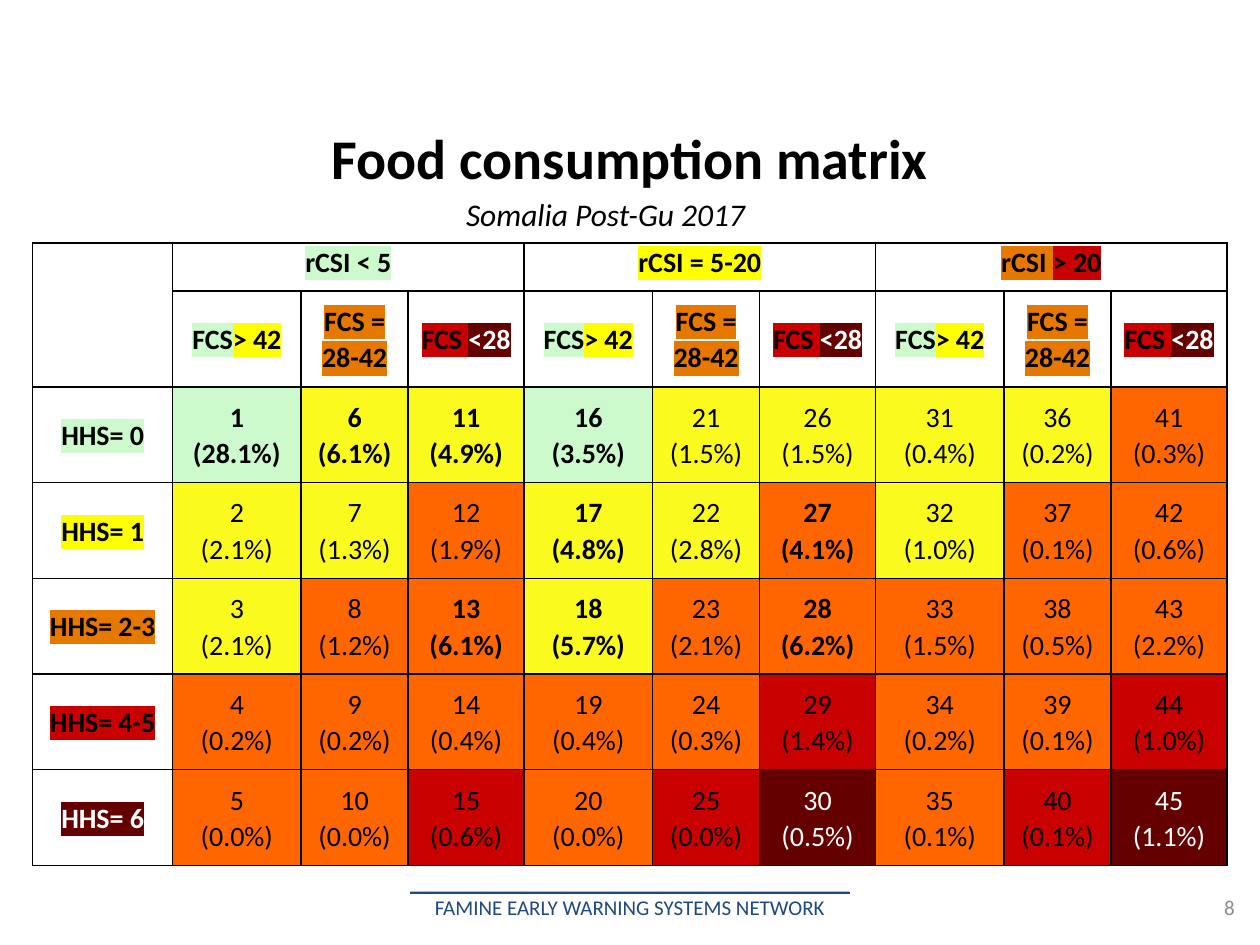
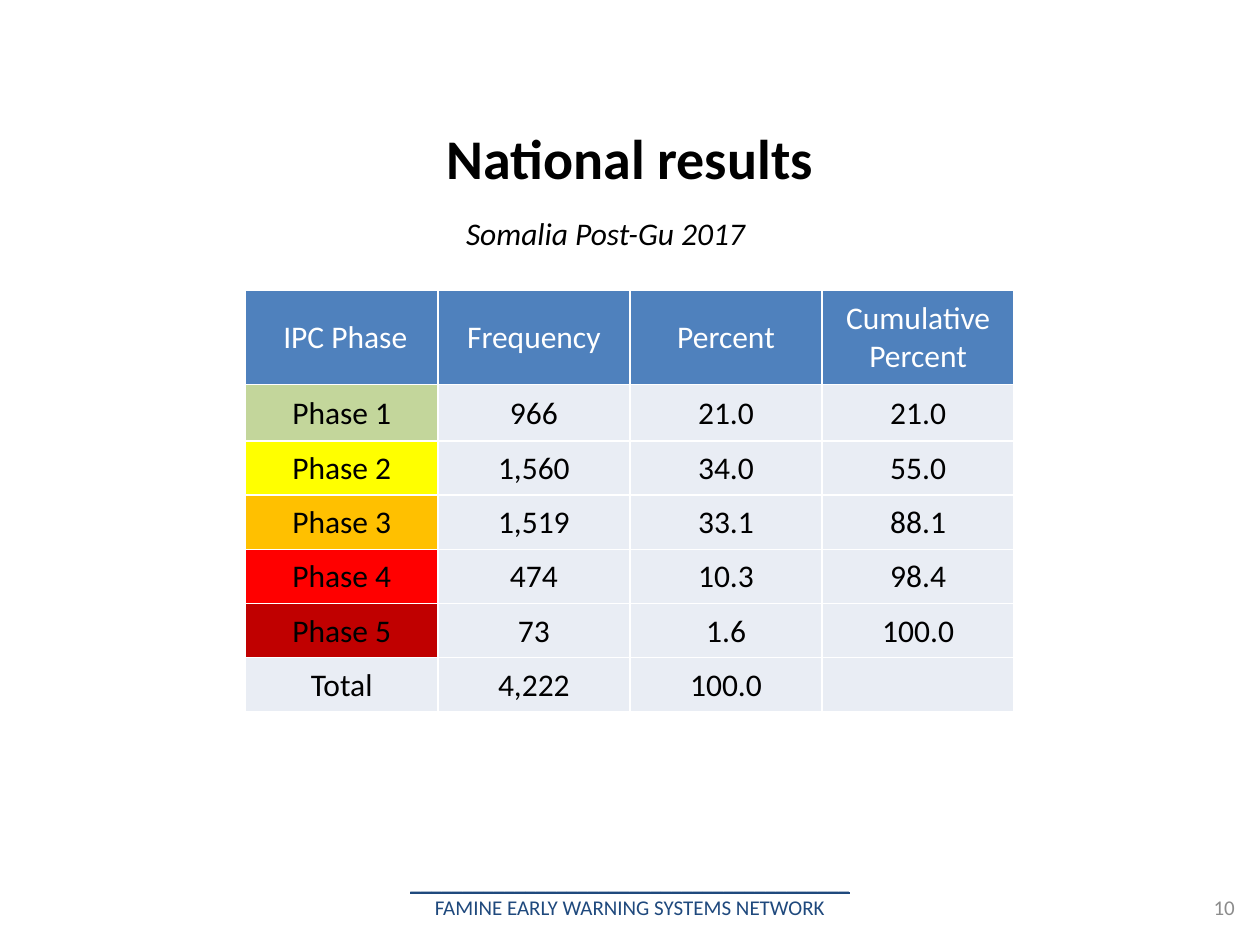
from lxml.etree import SubElement
from pptx import Presentation
from pptx.dml.color import RGBColor as RGB
from pptx.enum.text import MSO_ANCHOR as ANCHOR, PP_ALIGN as ALIGN
from pptx.oxml.ns import qn
from pptx.util import Inches, Pt

FONT = "Calibri"
C = {
    "black": "000000", "white": "FFFFFF", "navy": "1F497D", "grey": "8C8C8C",
    "header": "4F81BD", "body": "E9EDF4",
    "green": "CDFACD", "yellow": "FFFF00", "amber": "E67800", "red": "C80000",
    "maroon": "640000", "lemon": "FAFA1E", "orange": "FF6600",
    "phase1": "C3D69B", "phase2": "FFFF00", "phase3": "FFC000",
    "phase4": "FF0000", "phase5": "C00000",
}
MATRIX_FILLS = dict(zip("12345", ["green", "lemon", "orange", "red", "maroon"]))
RCSI_HEADS = [
    [("rCSI < 5", "green")],
    [("rCSI = 5-20", "yellow")],
    [("rCSI ", "amber"), ("> 20", "red")],
]
FCS_HEADS = [
    [("FCS", "green"), ("> 42", "yellow")],
    [("FCS = 28-42", "amber")],
    [("FCS ", "red"), ("<28", "maroon")],
]
HHS_ROWS = [
    ("HHS= 0", "green", "122122223", [28.1, 6.1, 4.9, 3.5, 1.5, 1.5, 0.4, 0.2, 0.3]),
    ("HHS= 1", "yellow", "223223233", [2.1, 1.3, 1.9, 4.8, 2.8, 4.1, 1.0, 0.1, 0.6]),
    ("HHS= 2-3", "amber", "233233333", [2.1, 1.2, 6.1, 5.7, 2.1, 6.2, 1.5, 0.5, 2.2]),
    ("HHS= 4-5", "red", "333334334", [0.2, 0.2, 0.4, 0.4, 0.3, 1.4, 0.2, 0.1, 1.0]),
    ("HHS= 6", "maroon", "334345345", [0.0, 0.0, 0.6, 0.0, 0.0, 0.5, 0.1, 0.1, 1.1]),
]
BOLD_FROM = 3
RESULTS = [
    (" IPC Phase", "Frequency", "Percent", "Cumulative Percent"),
    ("Phase 1", "966", "21.0", "21.0"),
    ("Phase 2", "1,560", "34.0", "55.0"),
    ("Phase 3", "1,519", "33.1", "88.1"),
    ("Phase 4", "474", "10.3", "98.4"),
    ("Phase 5", "73", "1.6", "100.0"),
    ("Total", "4,222", "100.0", ""),
]


def rgb(name):
    """Return the palette colour with this name."""
    return RGB.from_string(C[name])


def write(p, text, size=18, color="black", bold=False, italic=False, underline=False,
          highlight=None, align=ALIGN.CENTER, spacing=None):
    """Add one formatted run to a paragraph."""
    p.alignment = align
    if spacing:
        p.line_spacing = spacing
    r = p.add_run()
    r.text = text
    f = r.font
    f.name, f.size, f.bold, f.italic, f.underline = FONT, Pt(size), bold, italic, underline
    f.color.rgb = rgb(color)
    if highlight:
        r_pr = r._r.get_or_add_rPr()
        mark = SubElement(r_pr, qn("a:highlight"))
        SubElement(mark, qn("a:srgbClr"), val=C[highlight])
        r_pr.find(qn("a:solidFill")).addnext(mark)


def add_label(s, box, text, inset=0.0, wrap=True, **fmt):
    """Place a text box with one line of text and return its frame."""
    tf = s.shapes.add_textbox(*map(Inches, box)).text_frame
    tf.word_wrap = wrap
    tf.vertical_anchor = ANCHOR.MIDDLE
    tf.margin_left = tf.margin_right = Inches(inset)
    tf.margin_top = tf.margin_bottom = Inches(inset / 2)
    write(tf.paragraphs[0], text, **fmt)
    return tf


def add_footer(s, box, number):
    """Write the ruled network name and the slide number."""
    x, y, w, h = box
    name_w, number_w = 4, 2
    fmt = dict(size=12, color="navy")
    tf = add_label(s, (x + (w - name_w) / 2, y, name_w, h), "_" * 42,
                   wrap=False, underline=True, **fmt)
    write(tf.add_paragraph(), "FAMINE EARLY WARNING SYSTEMS NETWORK", **fmt)
    add_label(s, (x + w - number_w, y + h / 2, number_w, h / 2), number,
              size=12, color="grey", align=ALIGN.RIGHT)


def add_frame(prs, title, subtitle_top, number):
    """Add a slide with title, subtitle and footer."""
    s = prs.slides.add_slide(prs.slide_layouts[6])
    add_label(s, (0.1, 0.85, 9.8, 0.8), title, inset=0.1, size=32, bold=True)
    add_label(s, (3.58, subtitle_top, 2.51, 0.4), "Somalia Post-Gu 2017 ",
              inset=0.1, wrap=False, italic=True)
    add_footer(s, (0.2, 6.9, 9.6, 0.4), number)
    return s


def add_grid(s, left, top, widths, heights):
    """Add a table with the given column widths and row heights."""
    box = map(Inches, (left, top, sum(widths), sum(heights)))
    table = s.shapes.add_table(len(heights), len(widths), *box).table
    for column, width in zip(table.columns, widths):
        column.width = Inches(width)
    for row, height in zip(table.rows, heights):
        row.height = Inches(height)
    return table


def style_cell(cell, fill, border, margins):
    """Set borders, fill, margins and anchor of a cell."""
    tc_pr = cell._tc.get_or_add_tcPr()
    for side in "LRTB":
        ln = SubElement(tc_pr, qn(f"a:ln{side}"), w=str(Pt(1)))
        SubElement(SubElement(ln, qn("a:solidFill")), qn("a:srgbClr"), val=C[border])
    cell.fill.solid()
    cell.fill.fore_color.rgb = rgb(fill)
    cell.margin_left, cell.margin_top, cell.margin_right, cell.margin_bottom = map(Inches, margins)
    cell.vertical_anchor = ANCHOR.MIDDLE


def text_on(fill):
    """Return the text colour used on a fill or highlight."""
    return "white" if fill == "maroon" else "black"


def write_marked(cell, parts):
    """Write bold highlighted parts into a heading cell."""
    for text, mark in parts:
        write(cell.text_frame.paragraphs[0], text, size=16, bold=True,
              color=text_on(mark), highlight=mark, spacing=1.07)


def add_matrix(s, left, top):
    """Build the matrix of rCSI, FCS and HHS classes."""
    table = add_grid(s, left, top, [1.11] + [1.02, 0.85, 0.92] * 3, [0.38] + [0.76] * 6)
    for cell in table.iter_cells():
        style_cell(cell, "white", "black", (0.07, 0, 0.07, 0))
    table.cell(0, 0).merge(table.cell(1, 0))
    for group, parts in enumerate(RCSI_HEADS):
        first = 1 + 3 * group
        head = table.cell(0, first)
        head.merge(table.cell(0, first + 2))
        head.vertical_anchor = ANCHOR.TOP
        write_marked(head, parts)
        for i, fcs in enumerate(FCS_HEADS):
            write_marked(table.cell(1, first + i), fcs)
    for i, (label, mark, phases, shares) in enumerate(HHS_ROWS):
        write_marked(table.cell(i + 2, 0), [(label, mark)])
        for j, (phase, share) in enumerate(zip(phases, shares)):
            cell = table.cell(i + 2, j + 1)
            fill = MATRIX_FILLS[phase]
            cell.fill.fore_color.rgb = rgb(fill)
            tf = cell.text_frame
            fmt = dict(size=16, color=text_on(fill), bold=share >= BOLD_FROM, spacing=1.07)
            write(tf.paragraphs[0], str(j * len(HHS_ROWS) + i + 1), **fmt)
            write(tf.add_paragraph(), f"({share:.1f}%)", **fmt)


def add_results(s, left, top):
    """Build the table of frequencies by phase."""
    table = add_grid(s, left, top, [6.1 / 4] * 4, [0.75, 0.45] + [0.43] * 5)
    for i, values in enumerate(RESULTS):
        for j, value in enumerate(values):
            cell = table.cell(i, j)
            is_phase = j == 0 and value.startswith("Phase")
            fill = "header" if i == 0 else f"phase{i}" if is_phase else "body"
            style_cell(cell, fill, "white", (0.01, 0.01, 0.01, 0))
            if value:
                write(cell.text_frame.paragraphs[0], value, color="black" if i else "white")


def main():
    """Build both slides and save the file."""
    prs = Presentation()
    prs.slide_width, prs.slide_height = Inches(10), Inches(7.5)
    add_matrix(add_frame(prs, "Food consumption matrix", 1.5, "8"), 0.26, 1.93)
    add_results(add_frame(prs, "National results", 1.65, "10"), 1.95, 2.3)
    prs.save("out.pptx")


if __name__ == "__main__":
    main()
